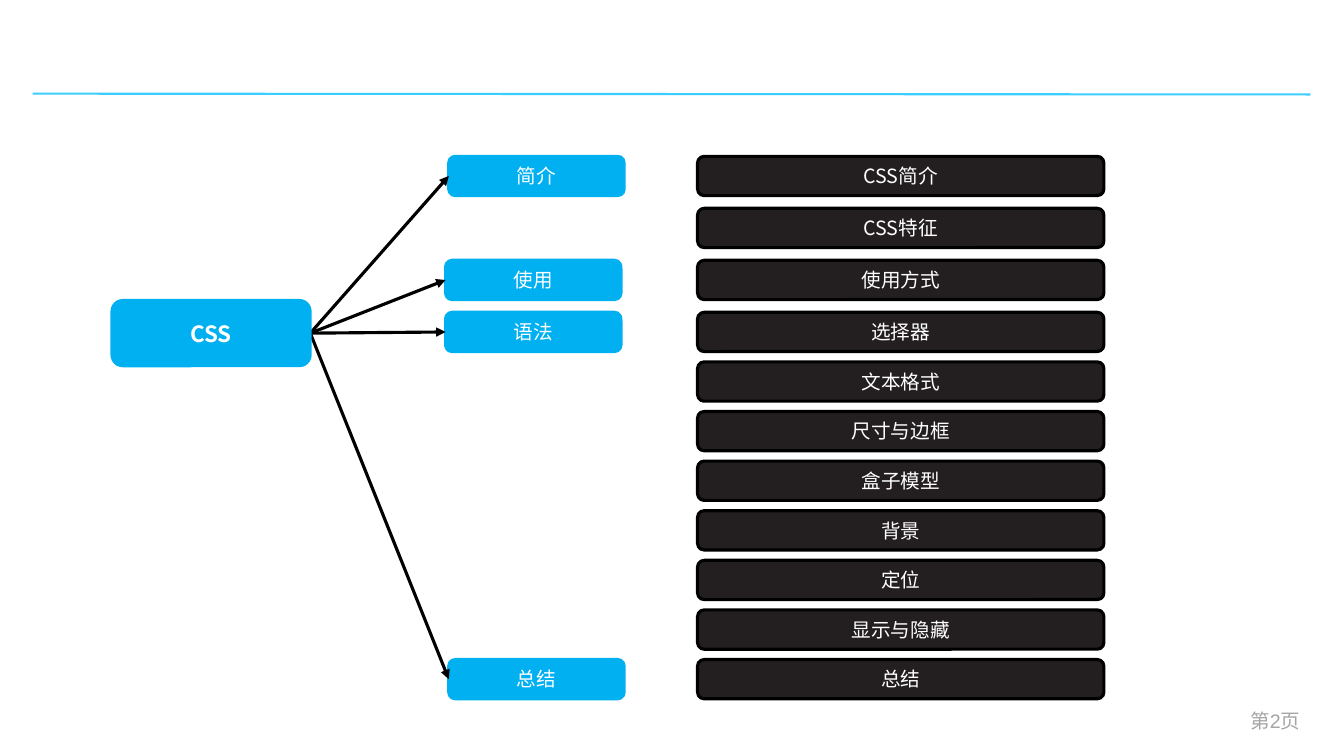
import pptx
import pptx.util
import pptx.dml.color
import pptx.enum.shapes
import pptx.enum.text
import pptx.oxml
import pptx.oxml.ns
from lxml import etree

Cm, Pt = pptx.util.Cm, pptx.util.Pt
ALIGN = pptx.enum.text.PP_ALIGN
SANS = "Noto Sans CJK SC"
BLUE, DARK, BLACK, WHITE = "00B0F0", "231F20", "000000", "FFFFFF"
HIGH = 0.99  # height of topic and branch boxes

TOPICS = ["CSS简介", "CSS特征", "使用方式", "选择器", "文本格式", "尺寸与边框",
          "盒子模型", "背景", "定位", "显示与隐藏", "总结"]
# Branch name, the topic row it starts at, shift to the right
BRANCHES = [("简介", 0, 0.08), ("使用", 2, 0), ("语法", 3, 0), ("总结", 10, 0.08)]


def color(text):
    return pptx.dml.color.RGBColor.from_string(text)


def row_top(row):
    """Offset of a topic row; rows sit closer from the fourth on."""
    return 1.31 * min(row, 3) + 1.25 * max(row - 3, 0)


def write(shape, text, size, ink, align, face, bold=False):
    para = shape.text_frame.paragraphs[0]
    para.text = text
    para.alignment = align
    font = para.font
    font.size, font.bold, font.name = Pt(size), bold, face
    font.color.rgb = color(ink)
    # East Asian glyphs use the sans face
    props = para._p.find(".//" + pptx.oxml.ns.qn("a:defRPr"))
    etree.SubElement(props, pptx.oxml.ns.qn("a:ea")).set("typeface", SANS)


def add_box(slide, text, left, top, width, height, fill, edge,
            size=14, bold=False, weight=2.25):
    box = slide.shapes.add_shape(
        pptx.enum.shapes.MSO_SHAPE.ROUNDED_RECTANGLE,
        Cm(left), Cm(top), Cm(width), Cm(height))
    box.shadow.inherit = False
    box.fill.solid()
    box.fill.fore_color.rgb = color(fill)
    box.line.color.rgb = color(edge)
    box.line.width = Pt(weight)
    box.text_frame.word_wrap = True
    box.text_frame.vertical_anchor = pptx.enum.text.MSO_ANCHOR.MIDDLE
    write(box, text, size, WHITE, ALIGN.CENTER, SANS, bold)


def add_line(slide, start, end, ink, weight, arrow=False):
    line = slide.shapes.add_connector(
        pptx.enum.shapes.MSO_CONNECTOR.STRAIGHT,
        Cm(start[0]), Cm(start[1]), Cm(end[0]), Cm(end[1]))
    line.line.color.rgb = color(ink)
    line.line.width = Pt(weight)
    if arrow:
        tip = etree.SubElement(line.line._get_or_add_ln(),
                               pptx.oxml.ns.qn("a:tailEnd"))
        tip.set("type", "triangle")
    etree.SubElement(line._element.spPr, pptx.oxml.ns.qn("a:effectLst"))


def add_frame(slide, left, top, width):
    """Header rule and page number."""
    add_line(slide, (left + width, top + 0.02), (left, top), "3ACDFF", 1.5)
    note = slide.shapes.add_textbox(Cm(30.48), Cm(17.73), Cm(2.54), Cm(0.89))
    note.text_frame.word_wrap = True
    write(note, "第2页", 14, "A5A5A5", ALIGN.RIGHT, "Arial")


def add_tree(slide, left, top):
    """Root box with arrows to its branches."""
    wide, tall = 5, 1.65
    root_top = top + 3.63
    hub = (left + wide, root_top + tall / 2)
    for name, row, shift in BRANCHES:
        side, head = left + 8.41 + shift, top + row_top(row)
        add_box(slide, name, side, head, 4.42, HIGH, BLUE, BLUE)
        add_line(slide, hub, (side, head + HIGH / 2), BLACK, 2.25, arrow=True)
    add_box(slide, "CSS", left, root_top, wide, tall, BLUE, BLUE,
            size=16, bold=True, weight=2)


def add_topics(slide, left, top, width):
    """Column of topic boxes."""
    for row, name in enumerate(TOPICS):
        add_box(slide, name, left, top + row_top(row), width, HIGH, DARK, BLACK)


def main():
    deck = pptx.Presentation()
    deck.slide_width, deck.slide_height = Cm(33.87), Cm(19.05)
    slide = deck.slides.add_slide(deck.slide_layouts[6])
    add_frame(slide, 0.82, 2.36, 32.2)
    add_tree(slide, 2.82, 3.94)
    add_topics(slide, 17.58, 3.94, 10.24)
    deck.save("out.pptx")


if __name__ == "__main__":
    main()
